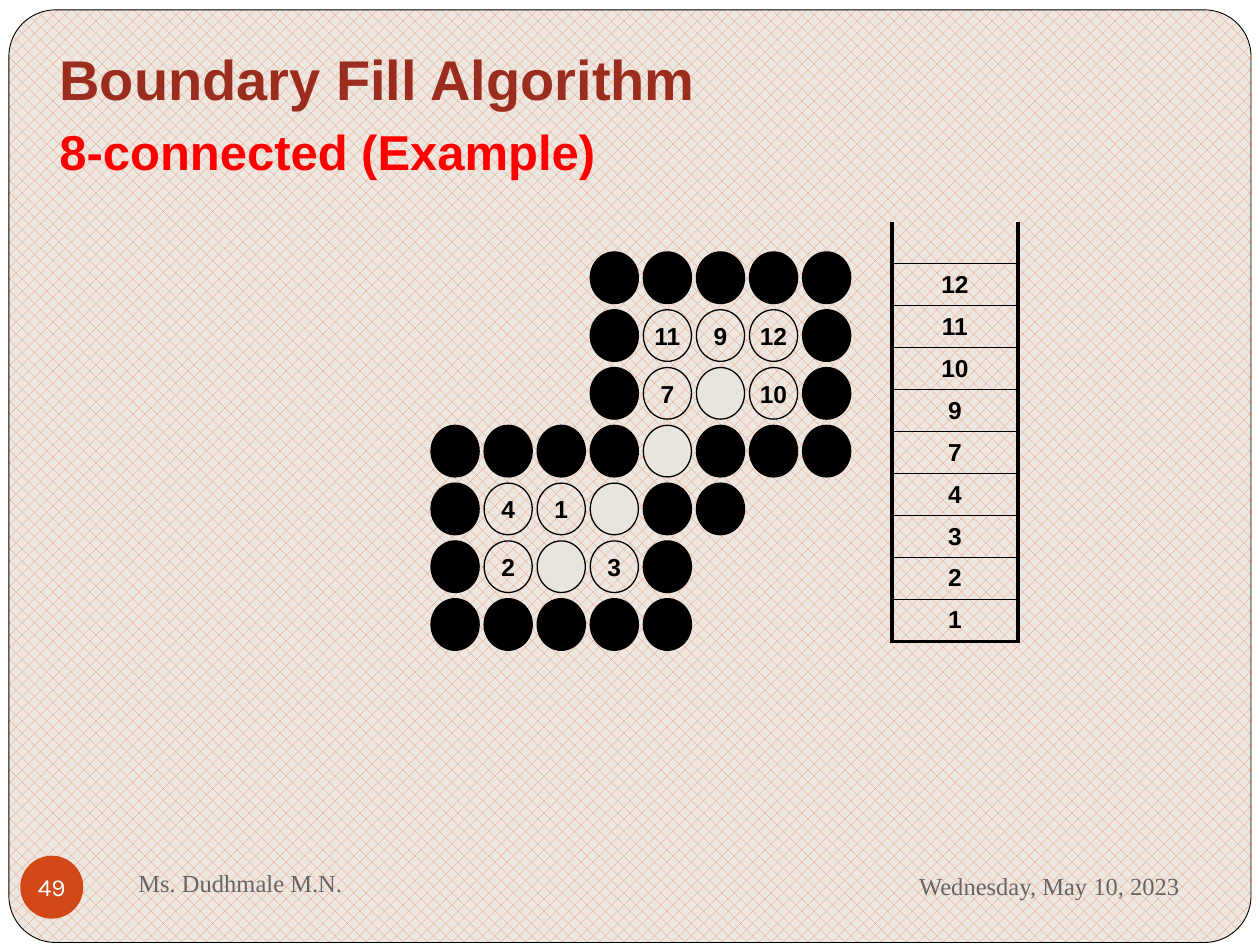
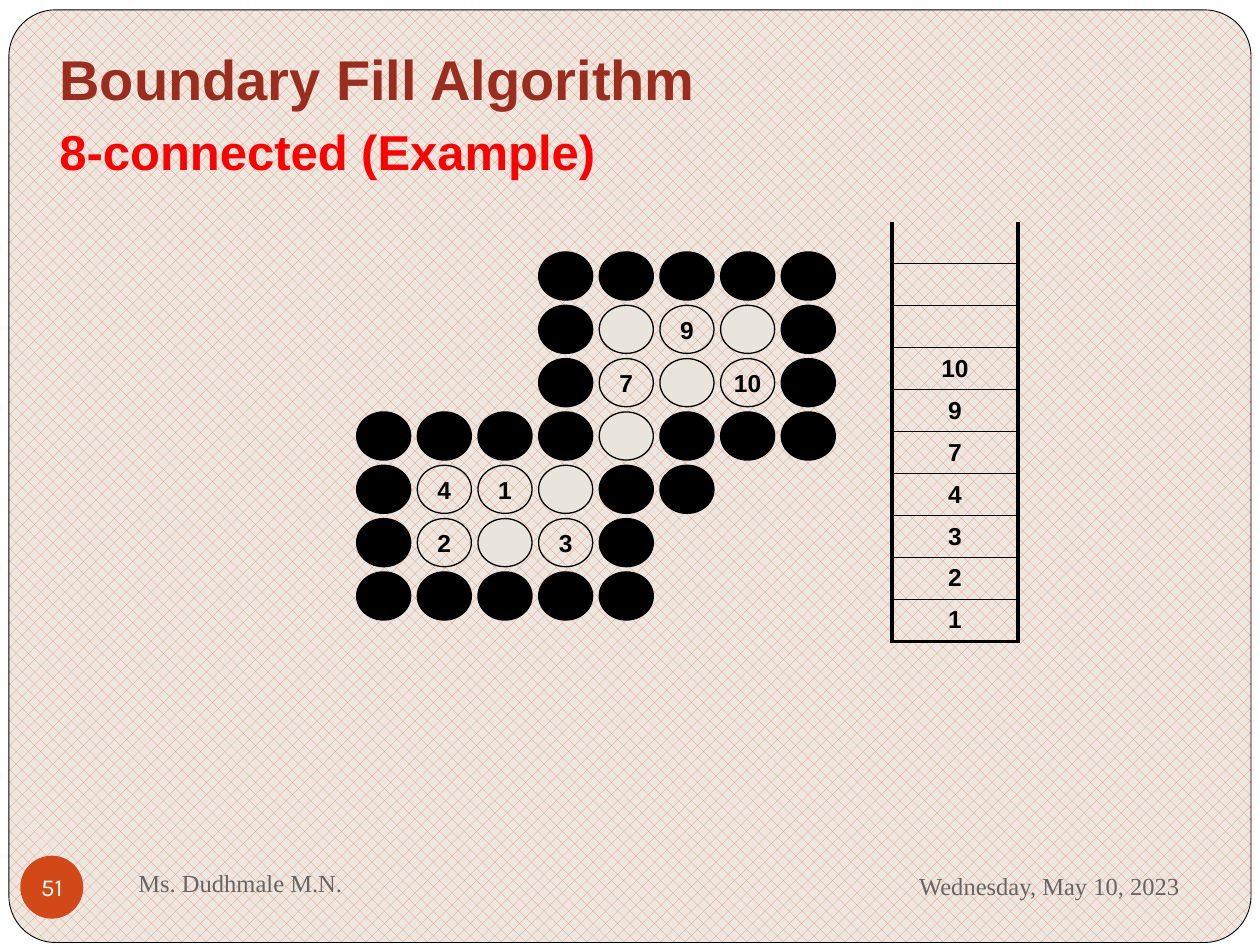
import dataclasses
import typing

import lxml.etree
import pptx
import pptx.dml.color
import pptx.dml.fill
import pptx.enum.dml
import pptx.enum.shapes
import pptx.enum.text
import pptx.oxml.ns
import pptx.util

Cm = pptx.util.Cm
Pt = pptx.util.Pt
Kind = pptx.enum.shapes.MSO_SHAPE
Align = pptx.enum.text.PP_ALIGN
Anchor = pptx.enum.text.MSO_ANCHOR

BLACK = "000000"
WHITE = "FFFFFF"
CORAL = "EF8C6A"
SAND = "ECE8E1"
EMPTY = "E9E5DC"
GREY = "696464"
BRICK = "9B2D1F"
RED = "FF0000"
ORANGE = "D34817"

GRID = (
    ". . . # # # # #",
    ". . . # 11 9 12 #",
    ". . . # 7 o 10 #",
    "# # # # o # # #",
    "# 4 1 o # #",
    "# 2 o 3 #",
    "# # # # #",
)
STACK = sorted((int(cell) for row in GRID for cell in row.split() if cell.isdigit()), reverse=True)


@dataclasses.dataclass
class Box:
    left: float
    top: float
    width: float
    height: float

    def place(self) -> tuple:
        return Cm(self.left), Cm(self.top), Cm(self.width), Cm(self.height)


@dataclasses.dataclass
class Style:
    size: float
    hue: str
    face: str = "Arial"
    bold: bool = False
    align: typing.Any = Align.LEFT


@dataclasses.dataclass
class Step:
    page: str
    last: int
    dot: Box
    wide: float
    tall: float


LABEL = Style(14, BLACK, bold=True, align=Align.CENTER)
PAGE = Style(14, WHITE, "Karla", align=Align.CENTER)
AUTHOR = Style(14, GREY, "Times New Roman")
DATE = dataclasses.replace(AUTHOR, align=Align.RIGHT)
TITLE = Style(32, BRICK, bold=True)
SUB = Style(28, RED, bold=True)

STEPS = (
    Step("49", 12, Box(8.69, 5.08, 0.97, 1.04), 7.49, 6.99),
    Step("51", 10, Box(7.19, 5.08, 1.09, 0.97), 8.56, 6.45),
)


def color(code: str) -> pptx.dml.color.RGBColor:
    return pptx.dml.color.RGBColor.from_string(code)


def weave(fill: pptx.dml.fill.FillFormat) -> None:
    fill.patterned()
    fill.pattern = pptx.enum.dml.MSO_PATTERN.PERCENT_30
    fill.fore_color.rgb = color(CORAL)
    fill.back_color.rgb = color(SAND)


def format_text(para: typing.Any, style: Style) -> None:
    para.alignment = style.align
    for run in para.runs:
        run.font.size = Pt(style.size)
        run.font.name = style.face
        run.font.bold = style.bold
        run.font.color.rgb = color(style.hue)


def add_form(shapes: typing.Any, kind: Kind, box: Box, fill: str | None = None,
             line: float = 0) -> typing.Any:
    form = shapes.add_shape(kind, *box.place())
    form.shadow.inherit = False
    if fill:
        form.fill.solid()
        form.fill.fore_color.rgb = color(fill)
    else:
        form.fill.background()
    if line:
        form.line.color.rgb = color(BLACK)
        form.line.width = Pt(line)
    else:
        form.line.fill.background()
    return form


def add_label(form: typing.Any, text: str, style: Style) -> None:
    frame = form.text_frame
    frame.word_wrap = False
    frame.vertical_anchor = Anchor.MIDDLE
    frame.text = text
    format_text(frame.paragraphs[0], style)


def add_text(slide: typing.Any, box: Box, lines: dict[str, Style],
             anchor: Anchor = Anchor.MIDDLE) -> typing.Any:
    frame = slide.shapes.add_textbox(*box.place()).text_frame
    frame.word_wrap = True
    frame.vertical_anchor = anchor
    frame.text = "\n".join(lines)
    for para, style in zip(frame.paragraphs, lines.values()):
        format_text(para, style)
    return frame


def add_frame(slide: typing.Any, page: str) -> None:
    weave(slide.background.fill)
    add_form(slide.shapes, Kind.RECTANGLE, Box(0, 0, 25.4, 19.05), WHITE)
    panel = add_form(slide.shapes, Kind.ROUNDED_RECTANGLE, Box(0.18, 0.2, 25.04, 18.8), line=0.5)
    panel.adjustments[0] = 0.05
    weave(panel.fill)
    add_text(slide, Box(2.54, 17.15, 11, 1.27), {"Ms. Dudhmale M.N.": AUTHOR})
    badge = add_form(slide.shapes, Kind.OVAL, Box(0.41, 17.25, 1.27, 1.27), ORANGE)
    frame = badge.text_frame
    frame.margin_left = frame.margin_right = frame.margin_top = frame.margin_bottom = 0
    add_label(badge, page, PAGE)
    head = add_text(slide, Box(0.95, 0.64, 23.5, 2.97),
                    {"Boundary Fill Algorithm": TITLE, "8-connected (Example)": SUB}, Anchor.TOP)
    head.margin_top = Cm(0.25)
    head.paragraphs[1].space_before = Pt(6)
    add_text(slide, Box(17.15, 17.2, 6.88, 1.32), {"Wednesday, May 10, 2023": DATE})


def add_grid(slide: typing.Any, step: Step) -> None:
    group = slide.shapes.add_group_shape()
    dot = step.dot
    for y, row in enumerate(GRID):
        for x, cell in enumerate(row.split()):
            if cell == ".":
                continue
            shown = cell.isdigit() and int(cell) <= step.last
            fill = BLACK if cell == "#" else None if shown else EMPTY
            spot = Box(dot.left + x * step.wide / 7, dot.top + y * step.tall / 6,
                       dot.width, dot.height)
            form = add_form(group.shapes, Kind.OVAL, spot, fill, 0.75)
            if shown:
                add_label(form, cell, LABEL)


def add_edge(cell: typing.Any, side: str, width: float) -> None:
    name = pptx.oxml.ns.qn
    props = cell._tc.get_or_add_tcPr()
    line = lxml.etree.SubElement(props, name(f"a:ln{side}"), w=str(Pt(width)))
    if width:
        fill = lxml.etree.SubElement(line, name("a:solidFill"))
        lxml.etree.SubElement(fill, name("a:srgbClr"), val=BLACK)
    else:
        lxml.etree.SubElement(line, name("a:noFill"))


def add_stack(slide: typing.Any, last: int) -> None:
    items = [""] + [str(item) if item <= last else "" for item in STACK]
    table = slide.shapes.add_table(len(items), 1, *Box(17.98, 4.47, 2.54, 8.46).place()).table
    table.first_row = table.horz_banding = False
    for y, item in enumerate(items):
        table.rows[y].height = Cm(8.46 / len(items))
        cell = table.cell(y, 0)
        base = 2.25 if y == len(items) - 1 else 1
        for side, width in (("L", 2.25), ("R", 2.25), ("T", 1 if y else 0), ("B", base)):
            add_edge(cell, side, width)
        cell.fill.background()
        cell.margin_top = cell.margin_bottom = 0
        cell.vertical_anchor = Anchor.MIDDLE
        cell.text_frame.text = item
        format_text(cell.text_frame.paragraphs[0], LABEL)


def main() -> None:
    deck = pptx.Presentation()
    deck.slide_width, deck.slide_height = Cm(25.4), Cm(19.05)
    for step in STEPS:
        slide = deck.slides.add_slide(deck.slide_layouts[6])
        add_frame(slide, step.page)
        add_grid(slide, step)
        add_stack(slide, step.last)
    deck.save("out.pptx")


if __name__ == "__main__":
    main()
